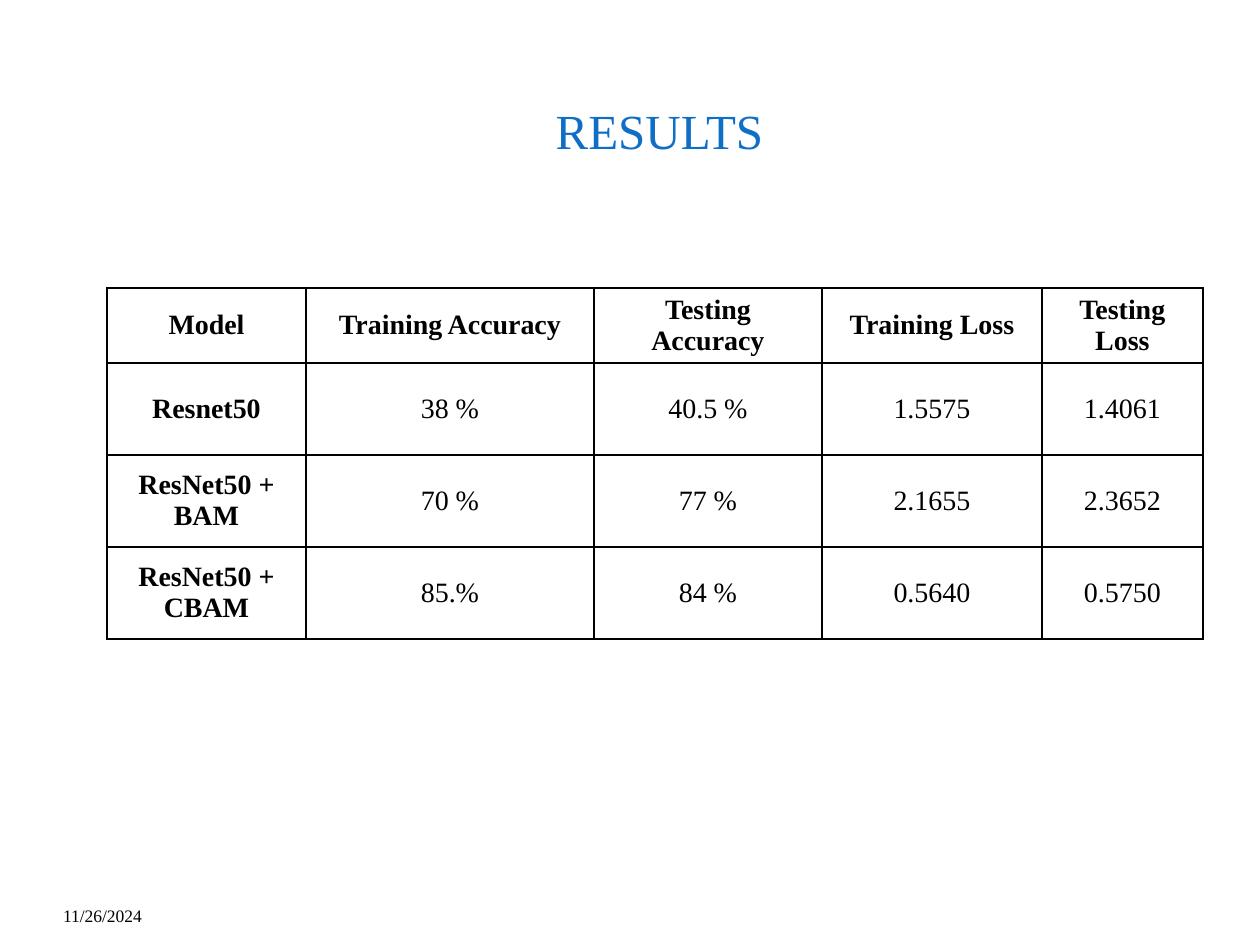
from lxml import etree
from pptx import Presentation
from pptx import util as u
from pptx.dml.color import RGBColor
from pptx.enum import text
from pptx.oxml.ns import qn

PX = 914400 // 126
FONT = "Times New Roman"
COLORS = {"title": "0F6FC6", "ink": "000000", "paper": "FFFFFF"}


def write(frame, words, size, color, align, bold=False):
    para = frame.paragraphs[0]
    para.alignment = align
    span = para.add_run()
    span.text = words
    span.font.name = FONT
    span.font.size = u.Pt(size)
    span.font.bold = bold
    span.font.color.rgb = RGBColor.from_string(COLORS[color])


def add_borders(cell):
    props = cell._tc.get_or_add_tcPr()
    for place, side in enumerate(("lnL", "lnR", "lnT", "lnB")):
        line = etree.Element(qn(f"a:{side}"), w=str(u.Pt(1)))
        fill = etree.SubElement(line, qn("a:solidFill"))
        etree.SubElement(fill, qn("a:srgbClr"), val=COLORS["ink"])
        props.insert(place, line)


deck = Presentation()
deck.slide_width, deck.slide_height = 1260 * PX, 945 * PX
page = deck.slides.add_slide(deck.slide_layouts[5])
page.background.fill.solid()
page.background.fill.fore_color.rgb = RGBColor.from_string(COLORS["paper"])

# Title and date
title = page.shapes.title
title.left, title.top, title.width, title.height = [n * PX for n in (214, 91, 891, 68)]
date = page.shapes.add_textbox(*[n * PX for n in (63, 876, 294, 50)])
for box, top_inset in ((title, 6), (date, 0)):
    frame = box.text_frame
    frame.word_wrap = True
    frame.auto_size = text.MSO_AUTO_SIZE.NONE
    frame.vertical_anchor = text.MSO_ANCHOR.BOTTOM
    frame.margin_left = frame.margin_right = frame.margin_bottom = 0
    frame.margin_top = top_inset * PX
write(title.text_frame, "RESULTS", 28, "title", text.PP_ALIGN.CENTER)
write(date.text_frame, "11/26/2024", 10, "ink", text.PP_ALIGN.LEFT)

# Results table: bold header row and model column
results = [
    ("Model", "Training Accuracy", "Testing Accuracy", "Training Loss", "Testing Loss"),
    ("Resnet50", "38 %", "40.5 %", "1.5575", "1.4061"),
    ("ResNet50 + BAM", "70 %", "77 %", "2.1655", "2.3652"),
    ("ResNet50 + CBAM", "85.%", "84 %", "0.5640", "0.5750"),
]
widths = (199, 288, 228, 220, 161)
heights = (75, 92, 92, 92)
table = page.shapes.add_table(
    len(heights), len(widths),
    107 * PX, 288 * PX, sum(widths) * PX, sum(heights) * PX).table
for column, width in zip(table.columns, widths):
    column.width = width * PX
for r, (height, values) in enumerate(zip(heights, results)):
    table.rows[r].height = height * PX
    for c, value in enumerate(values):
        cell = table.cell(r, c)
        cell.fill.background()
        cell.vertical_anchor = text.MSO_ANCHOR.MIDDLE
        add_borders(cell)
        write(cell.text_frame, value, 16, "ink", text.PP_ALIGN.CENTER, r == 0 or c == 0)

deck.save("out.pptx")
